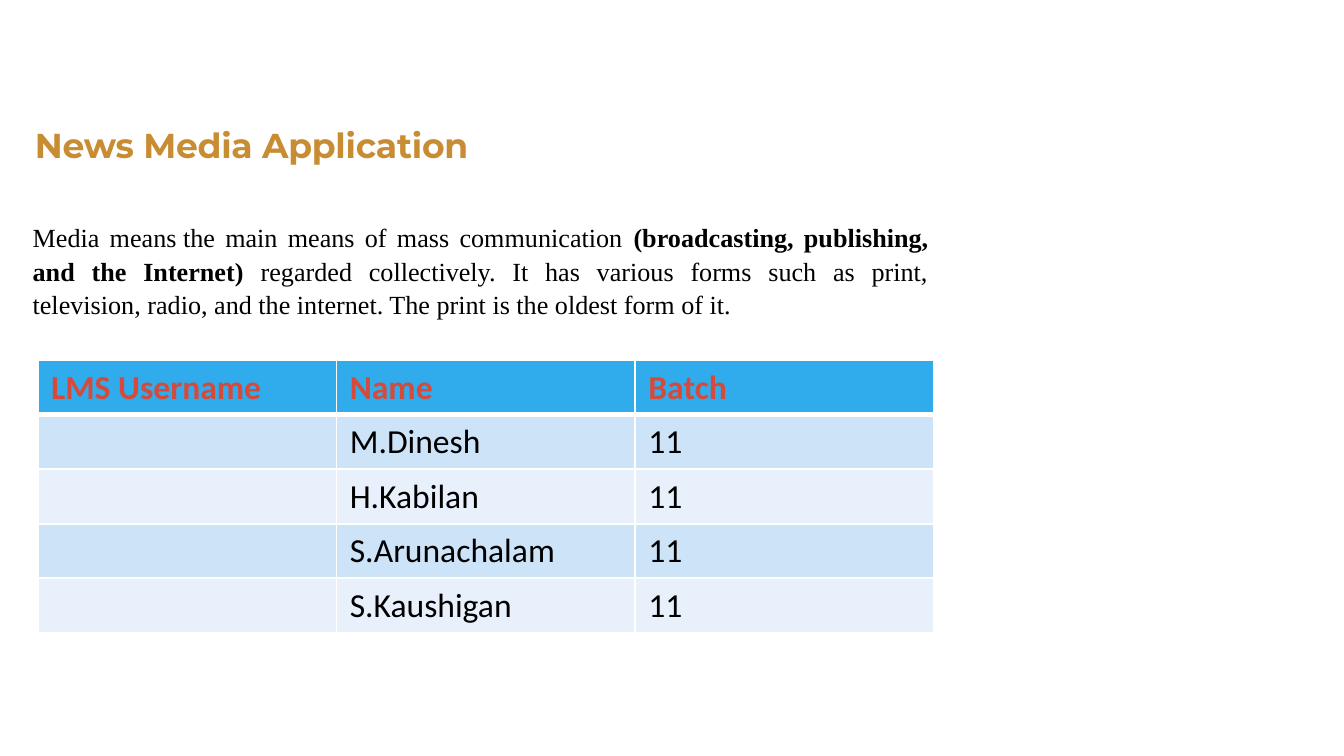
from dataclasses import dataclass

from lxml import etree
from pptx import Presentation
from pptx.dml.color import RGBColor
from pptx.enum.text import PP_ALIGN
from pptx.oxml.ns import qn
from pptx.util import Pt

LEFT, JUSTIFY = PP_ALIGN.LEFT, PP_ALIGN.JUSTIFY


@dataclass(frozen=True)
class Theme:
    """Colours, fonts and type sizes of the slide."""
    white: str = "FFFFFF"
    black: str = "000000"
    gold: str = "C88C32"
    red: str = "D64A3B"
    header: str = "30ACEC"
    bands: tuple = ("CDE3F8", "E8F1FB")
    title_font: str = "Montserrat"
    body_font: str = "Times New Roman"
    table_font: str = "Calibri"
    title_size: float = 18.5
    body_size: float = 14
    table_size: float = 18


THEME = Theme()
TITLE = "News Media Application"
BODY = [
    ("Media means\u00a0the main means of mass communication ", False),
    ("(broadcasting, publishing, and the Internet) ", True),
    ("regarded collectively. It has various forms such as print, television, "
     "radio, and the internet. The print is the oldest form of it.", False),
]
ROWS = [
    ("LMS Username", "Name", "Batch"),
    ("", "M.Dinesh", "11"),
    ("", "H.Kabilan", "11"),
    ("", "S.Arunachalam", "11"),
    ("", "S.Kaushigan", "11"),
]


def add_run(p, text, font, size, color, bold=False):
    """Append one formatted run to a paragraph."""
    r = p.add_run()
    r.text = text
    r.font.name = font
    r.font.size = Pt(size)
    r.font.bold = bold
    r.font.color.rgb = RGBColor.from_string(color)
    return r


def add_paragraph_box(s, box, line, align):
    """Add a text box without margins and return its paragraph."""
    tf = s.shapes.add_textbox(*map(Pt, box)).text_frame
    tf.word_wrap = True
    tf.margin_left = tf.margin_top = tf.margin_right = tf.margin_bottom = 0
    p = tf.paragraphs[0]
    p.line_spacing = Pt(line)
    p.alignment = align
    return p


def add_title(s, box):
    """Place the title in its box."""
    p = add_paragraph_box(s, box, 23.8, LEFT)
    r = add_run(p, TITLE, THEME.title_font, THEME.title_size, THEME.gold, True)
    r.font._element.set("spc", "-10")


def add_body(s, box):
    """Place the justified description in its box."""
    p = add_paragraph_box(s, box, 18, JUSTIFY)
    for text, bold in BODY:
        add_run(p, text, THEME.body_font, THEME.body_size, THEME.black, bold)


def set_borders(cell, top, bottom):
    """Draw white cell borders with the given top and bottom widths."""
    tcPr = cell._tc.get_or_add_tcPr()
    for tag, width in (("a:lnL", 1), ("a:lnR", 1), ("a:lnT", top), ("a:lnB", bottom)):
        ln = etree.SubElement(tcPr, qn(tag), w=str(Pt(width)))
        fill = etree.SubElement(ln, qn("a:solidFill"))
        etree.SubElement(fill, qn("a:srgbClr"), val=THEME.white)


def add_members(s, box):
    """Place the member table, with equal rows and columns, in its box."""
    table = s.shapes.add_table(len(ROWS), len(ROWS[0]), *map(Pt, box)).table
    for i, row in enumerate(ROWS):
        head = i == 0
        fill = THEME.header if head else THEME.bands[(i - 1) % 2]
        color = THEME.red if head else THEME.black
        for j, text in enumerate(row):
            cell = table.cell(i, j)
            set_borders(cell, 3 if i == 1 else 1, 3 if head else 1)
            cell.fill.solid()
            cell.fill.fore_color.rgb = RGBColor.from_string(fill)
            if text:
                add_run(cell.text_frame.paragraphs[0], text, THEME.table_font,
                        THEME.table_size, color, head)


def main():
    """Build and save the slide."""
    prs = Presentation()
    prs.slide_width, prs.slide_height = Pt(720), Pt(405)
    s = prs.slides.add_slide(prs.slide_layouts[6])
    add_title(s, (18.7, 64.8, 324.7, 23))
    add_body(s, (17.5, 117.4, 480, 53.3))
    add_members(s, (20.2, 193, 480, 146))
    prs.save("out.pptx")


if __name__ == "__main__":
    main()
